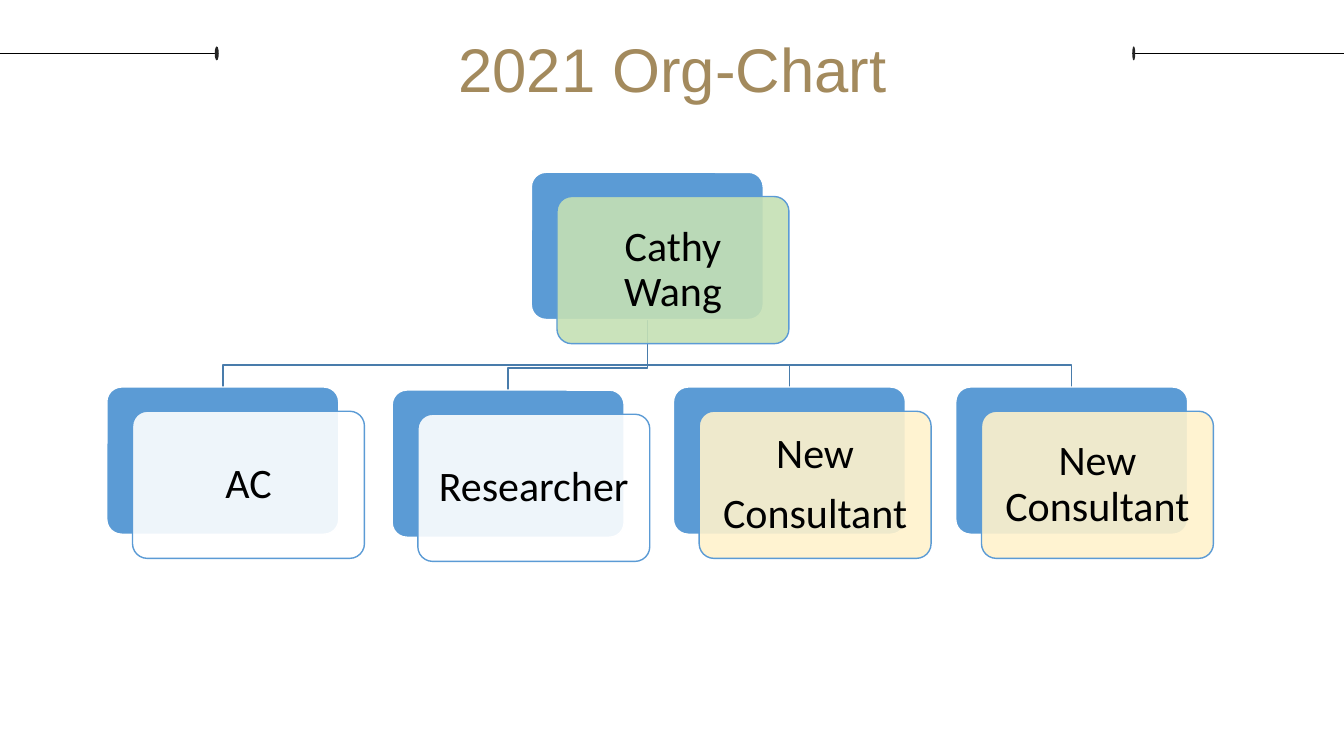
"""Build the 2021 organisation chart slide."""
from lxml.etree import SubElement
from pptx import Presentation
from pptx.dml.color import RGBColor
from pptx.enum.shapes import MSO_CONNECTOR, MSO_SHAPE
from pptx.enum.text import MSO_ANCHOR, MSO_AUTO_SIZE, PP_ALIGN
from pptx.oxml.ns import qn
from pptx.util import Inches, Pt

BLUE = "5B9BD5"
CARD_WIDTH, CARD_HEIGHT = 2.3, 1.46
CARD_OFFSET_X, CARD_OFFSET_Y = 0.255, 0.24
LEADER = (5.27, 1.71, "Cathy Wang", "C5E0B4")
REPORTS = [
    (1.06, 3.84, "AC", "FFFFFF"),
    (3.89, 3.87, "Researcher", "FFFFFF"),
    (6.68, 3.84, "New\nConsultant", "FFF2CC"),
    (9.48, 3.84, "New Consultant", "FFF2CC"),
]


def color(hex_value):
    """Return a colour from a hex string."""
    return RGBColor.from_string(hex_value)


def add_filled_shape(slide, kind, left, top, width, height, fill, line=None):
    """Add a flat preset shape with an optional outline."""
    shape = slide.shapes.add_shape(
        kind, Inches(left), Inches(top), Inches(width), Inches(height))
    shape.shadow.inherit = False
    shape.fill.solid()
    shape.fill.fore_color.rgb = color(fill)
    if line:
        shape.line.color.rgb = color(line)
        shape.line.width = Pt(1)
    else:
        shape.line.fill.background()
    return shape


def set_opacity(shape, percent):
    """Make the solid fill of a shape partly transparent."""
    fill_color = shape.fill._xPr.find(qn("a:solidFill"))[0]
    SubElement(fill_color, qn("a:alpha")).set("val", str(percent * 1000))


def add_rule(slide, start, end, dot_left, dot_width):
    """Add a header rule with a small dot at its inner end."""
    rule = slide.shapes.add_connector(
        MSO_CONNECTOR.STRAIGHT, Inches(start), Inches(0.53), Inches(end), Inches(0.53))
    rule.line.color.rgb = color("000000")
    rule.line.width = Pt(0.75)
    SubElement(rule._element.spPr, qn("a:effectLst"))
    add_filled_shape(slide, MSO_SHAPE.OVAL, dot_left, 0.46, dot_width, 0.14, "252525")


def format_text(paragraph, size, font_name, hex_value, line_spacing):
    """Centre a paragraph and format its runs."""
    paragraph.alignment = PP_ALIGN.CENTER
    paragraph.line_spacing = line_spacing
    for run in paragraph.runs:
        run.font.size = Pt(size)
        run.font.name = font_name
        run.font.color.rgb = color(hex_value)


def add_title(slide, text):
    """Place and format the slide title."""
    title = slide.shapes.title
    title.left, title.top = Inches(2.1), Inches(-0.11)
    title.width, title.height = Inches(9.14), Inches(1.08)
    frame = title.text_frame
    frame.text = text
    frame.auto_size = MSO_AUTO_SIZE.SHAPE_TO_FIT_TEXT
    frame.vertical_anchor = MSO_ANCHOR.TOP
    format_text(frame.paragraphs[0], 44, "Arial", "A38A5D", 1.5)


def add_branch(slide, report):
    """Draw the elbow line from the leader to a report."""
    start_x = LEADER[0] + CARD_WIDTH / 2
    start_y = LEADER[1] + CARD_HEIGHT
    end_x, end_y = report[0] + CARD_WIDTH / 2, report[1]
    bend_y = end_y - 0.22
    builder = slide.shapes.build_freeform(Inches(start_x), Inches(start_y))
    points = [(start_x, bend_y), (end_x, bend_y), (end_x, end_y)]
    builder.add_line_segments([(Inches(x), Inches(y)) for x, y in points], close=False)
    branch = builder.convert_to_shape()
    branch.shadow.inherit = False
    branch.fill.background()
    branch.line.color.rgb = color("497CAB")
    branch.line.width = Pt(1)


def add_card(slide, left, top, text, fill):
    """Add a translucent name card over its blue backing."""
    backing = add_filled_shape(slide, MSO_SHAPE.ROUNDED_RECTANGLE, left, top,
                               CARD_WIDTH, CARD_HEIGHT, BLUE, "FFFFFF")
    card = add_filled_shape(slide, MSO_SHAPE.ROUNDED_RECTANGLE, left + CARD_OFFSET_X,
                            top + CARD_OFFSET_Y, CARD_WIDTH, CARD_HEIGHT, fill, BLUE)
    for shape in (backing, card):
        shape.adjustments[0] = 0.1
    set_opacity(card, 90)
    frame = card.text_frame
    frame.text = text
    frame.word_wrap = True
    frame.vertical_anchor = MSO_ANCHOR.MIDDLE
    frame.margin_left = frame.margin_right = Inches(0.12)
    frame.margin_top = frame.margin_bottom = Inches(0.12)
    for paragraph in frame.paragraphs:
        format_text(paragraph, 30, "Calibri", "000000", 0.9)
        paragraph.space_after = Pt(10.5)


def main():
    """Build and save the slide."""
    presentation = Presentation()
    presentation.slide_width, presentation.slide_height = Inches(13.33), Inches(7.5)
    slide = presentation.slides.add_slide(presentation.slide_layouts[5])
    add_rule(slide, -0.02, 2.14, 2.13, 0.04)
    add_rule(slide, 11.25, 13.33, 11.23, 0.03)
    add_title(slide, "2021 Org-Chart")
    for report in reversed(REPORTS):
        add_branch(slide, report)
    for person in [LEADER, *REPORTS]:
        add_card(slide, *person)
    presentation.save("out.pptx")


if __name__ == "__main__":
    main()
